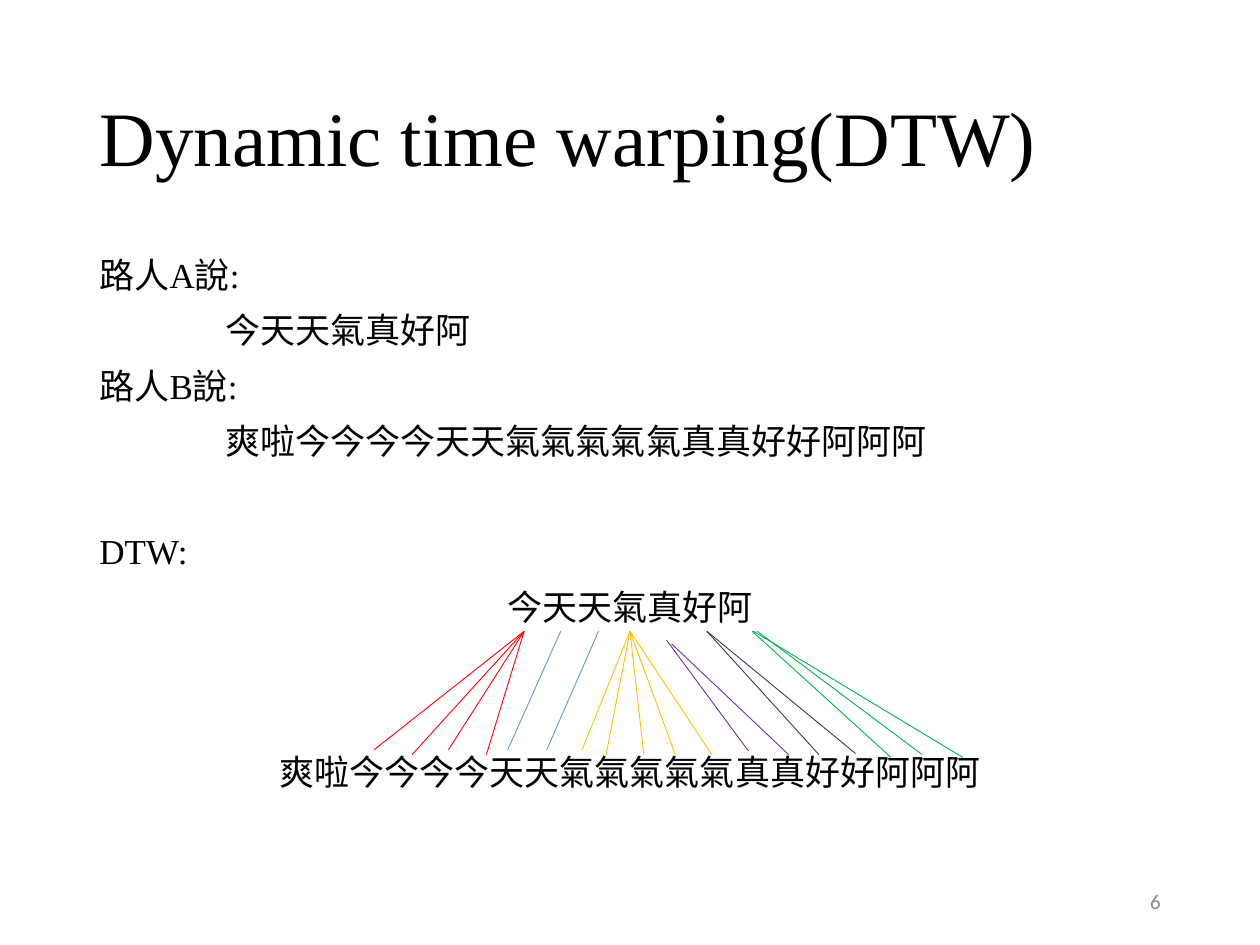
from dataclasses import dataclass

from pptx import Presentation
from pptx.dml.color import RGBColor
from pptx.enum.shapes import MSO_CONNECTOR
from pptx.enum.text import MSO_ANCHOR as Anchor, MSO_AUTO_SIZE as AutoSize, PP_ALIGN as Align
from pptx.oxml.ns import qn
from pptx.util import Pt
from lxml.etree import SubElement

EMU_PER_PX = 9144  # 100 px to the inch


def px(length):
    return length * EMU_PER_PX


@dataclass(frozen=True)
class Theme:
    serif: str = "Times New Roman"
    sans: str = "Calibri"
    text: str = "000000"
    muted: str = "8C8C8C"
    red: str = "FF0000"
    blue: str = "5B9BD5"
    amber: str = "FFC000"
    purple: str = "7030A0"
    slate: str = "333F50"
    green: str = "00B050"
    title_size: int = 44
    body_size: int = 20
    number_size: int = 12
    line_width: float = 0.5
    line_spacing: float = 0.9


@dataclass(frozen=True)
class Line:
    text: str
    space_before: float = 10
    indent: int = 0
    align: Align = Align.LEFT


class SlideBuilder:
    def __init__(self, presentation, theme):
        self.theme = theme
        self.slide = presentation.slides.add_slide(presentation.slide_layouts[5])

    def style(self, paragraph, size, font, color):
        for run in paragraph.runs:
            run.font.size = Pt(size)
            run.font.name = font
            run.font.color.rgb = RGBColor.from_string(color)

    def text_box(self, left, top, width, height, anchor=Anchor.TOP):
        shape = self.slide.shapes.add_textbox(px(left), px(top), px(width), px(height))
        shape.text_frame.word_wrap = True
        shape.text_frame.vertical_anchor = anchor
        return shape.text_frame

    def title(self, text, left, top, width, height):
        shape = self.slide.shapes.title
        shape.left, shape.top, shape.width, shape.height = map(px, (left, top, width, height))
        frame = shape.text_frame
        frame.text = text
        frame.auto_size = AutoSize.NONE
        frame.vertical_anchor = Anchor.MIDDLE
        paragraph = frame.paragraphs[0]
        paragraph.alignment = Align.LEFT
        paragraph.line_spacing = self.theme.line_spacing
        self.style(paragraph, self.theme.title_size, self.theme.serif, self.theme.text)

    def body(self, lines, left, top, width, height):
        frame = self.text_box(left, top, width, height)
        frame.text = "\n".join(line.text for line in lines)
        for paragraph, line in zip(frame.paragraphs, lines):
            paragraph.alignment = line.align
            paragraph.line_spacing = self.theme.line_spacing
            paragraph.space_before = Pt(line.space_before)
            paragraph._p.get_or_add_pPr().set("marL", str(px(line.indent)))
            self.style(paragraph, self.theme.body_size, self.theme.serif, self.theme.text)

    def page_number(self, number, left, top, width, height):
        frame = self.text_box(left, top, width, height, Anchor.MIDDLE)
        frame.text = str(number)
        paragraph = frame.paragraphs[0]
        paragraph.alignment = Align.RIGHT
        self.style(paragraph, self.theme.number_size, self.theme.sans, self.theme.muted)

    def link(self, start, end, color):
        connector = self.slide.shapes.add_connector(
            MSO_CONNECTOR.STRAIGHT, *map(px, start + end))
        connector.line.color.rgb = RGBColor.from_string(color)
        connector.line.width = Pt(self.theme.line_width)
        SubElement(connector._element.spPr, qn("a:effectLst"))

    def fan(self, color, start, ends):
        """Link one spoken character to each of its matches."""
        for end in ends:
            self.link(start, end, color)


def main():
    presentation = Presentation()
    presentation.slide_width, presentation.slide_height = px(1000), px(750)
    theme = Theme()
    builder = SlideBuilder(presentation, theme)

    short_phrase = "今天天氣真好阿"
    long_phrase = "爽啦今今今今天天氣氣氣氣氣真真好好阿阿阿"
    builder.title("Dynamic time warping(DTW)", 69, 40, 862, 145)
    builder.body([
        Line("路人A說:", space_before=0),
        Line(short_phrase, indent=100),
        Line("路人B說:"),
        Line(long_phrase, indent=100),
        Line("DTW:", space_before=41.5),
        Line(short_phrase, align=Align.CENTER),
        Line(long_phrase, space_before=73, align=Align.CENTER),
    ], 69, 200, 862, 476)
    builder.page_number(6, 706, 695, 225, 40)

    fans = [
        (theme.red, (416, 501), [(297, 595), (327, 599), (356, 595), (386, 599)]),
        (theme.blue, (445, 501), [(403, 595)]),
        (theme.blue, (475, 501), [(434, 595)]),
        (theme.amber, (500, 501),
         [(462, 595), (481, 599), (511, 599), (536, 599), (565, 599)]),
        (theme.purple, (529, 508), [(594, 596)]),
        (theme.purple, (533, 511), [(626, 599)]),
        (theme.slate, (561, 501), [(650, 599), (679, 598)]),
        (theme.green, (597, 501), [(707, 601)]),
        (theme.green, (601, 501), [(732, 599)]),
        (theme.green, (598, 501), [(764, 601)]),
    ]
    for color, start, ends in fans:
        builder.fan(color, start, ends)

    presentation.save("out.pptx")


if __name__ == "__main__":
    main()
